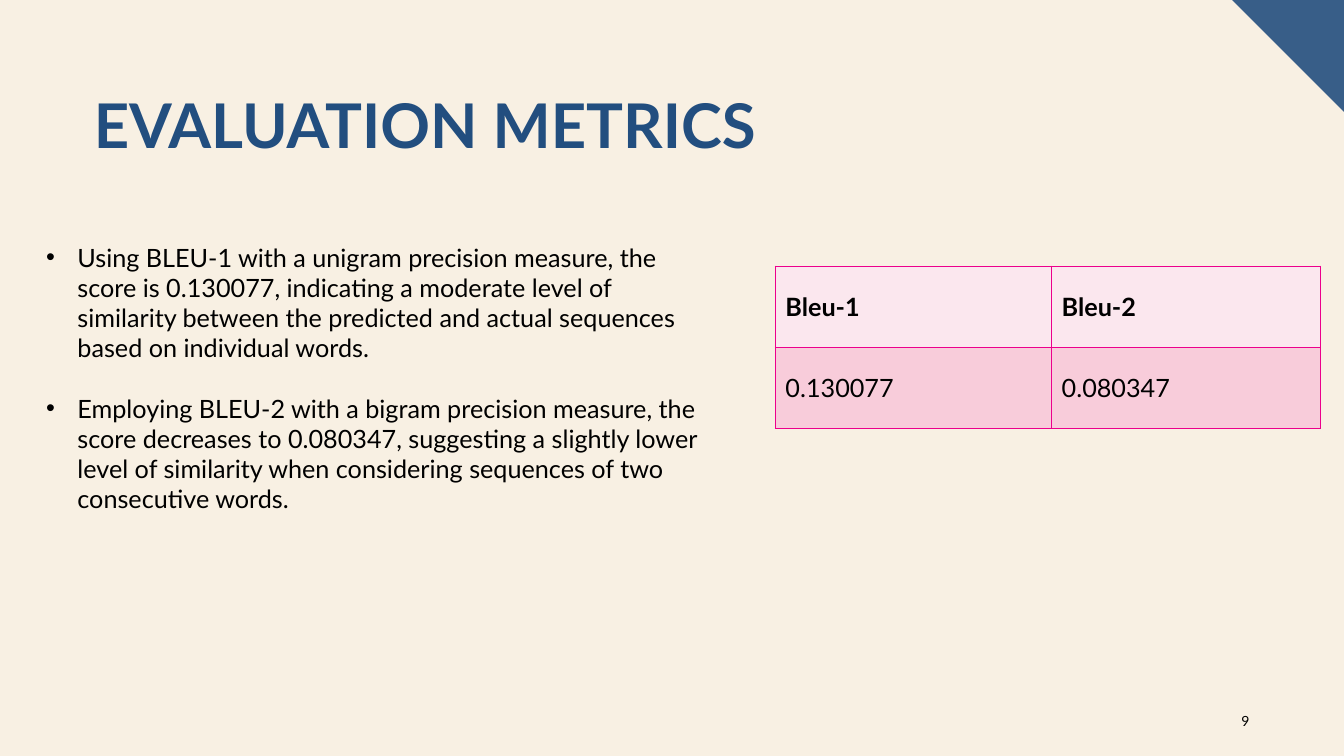
import pptx
import pptx.util
import pptx.dml.color
import pptx.enum.text
import pptx.oxml.ns
import lxml.etree
from dataclasses import dataclass

TITLE = "EVALUATION METRICS"
POINTS = [
    "Using BLEU-1 with a unigram precision measure, the score is 0.130077, indicating a moderate level of similarity between the predicted and actual sequences based on individual words.",
    "Employing BLEU-2 with a bigram precision measure, the score decreases to 0.080347, suggesting a slightly lower level of similarity when considering sequences of two consecutive words.",
]
SCORES = [("Bleu-1", "Bleu-2"), ("0.130077", "0.080347")]
WIDTHS = (2.74, 2.67)
NUMBER = "9"


@dataclass
class Theme:
    font: str = "Lato"
    back: str = "F8F0E3"
    blue: str = "385E88"
    head: str = "224E7F"
    ink: str = "000000"
    edge: str = "EC008C"
    rows: tuple = ("FBE7EE", "F8CCDA")
    large: int = 44
    body: int = 18
    small: int = 10


theme = Theme()
Inches = pptx.util.Inches
Pt = pptx.util.Pt
Align = pptx.enum.text.PP_ALIGN
Anchor = pptx.enum.text.MSO_ANCHOR
qn = pptx.oxml.ns.qn


def color(code):
    return pptx.dml.color.RGBColor.from_string(code)


def paint(fill, code):
    fill.solid()
    fill.fore_color.rgb = color(code)


def write(para, text, size=theme.body, ink=theme.ink, bold=False, align=Align.LEFT, line=1.0):
    para.alignment = align
    para.line_spacing = line
    run = para.add_run()
    run.text = text
    run.font.name = theme.font
    run.font.size = Pt(size)
    run.font.bold = bold
    run.font.color.rgb = color(ink)


def bullet(para):
    props = para._p.get_or_add_pPr()
    props.set("marL", str(Inches(0.31)))
    props.set("indent", str(Inches(-0.31)))
    lxml.etree.SubElement(props, qn("a:buFont"), typeface="Arial")
    lxml.etree.SubElement(props, qn("a:buChar"), char="•")


def border(cell):
    props = cell._tc.get_or_add_tcPr()
    for spot, side in enumerate(("lnL", "lnR", "lnT", "lnB")):
        edge = lxml.etree.Element(qn("a:" + side), w=str(Pt(1)))
        fill = lxml.etree.SubElement(edge, qn("a:solidFill"))
        lxml.etree.SubElement(fill, qn("a:srgbClr"), val=theme.edge)
        props.insert(spot, edge)


def textbox(slide, *box):
    frame = slide.shapes.add_textbox(*map(Inches, box)).text_frame
    frame.word_wrap = True
    return frame


def corner(slide, wide, size):
    build = slide.shapes.build_freeform(Inches(wide - size), 0)
    build.add_line_segments([(Inches(wide), 0), (Inches(wide), Inches(size))])
    shape = build.convert_to_shape()
    shape.shadow.inherit = False
    paint(shape.fill, theme.blue)
    shape.line.fill.background()


def heading(slide):
    title = slide.shapes.title
    title.left, title.top, title.width, title.height = map(Inches, (0.83, 0.9, 11.66, 1.45))
    frame = title.text_frame
    frame.auto_size = pptx.enum.text.MSO_AUTO_SIZE.NONE
    frame.vertical_anchor = Anchor.TOP
    write(frame.paragraphs[0], TITLE, size=theme.large, ink=theme.head, bold=True, line=0.9)


def scores(slide):
    box = map(Inches, (7.69, 2.64, sum(WIDTHS), 1.61))
    table = slide.shapes.add_table(len(SCORES), len(WIDTHS), *box).table
    table.first_row = table.horz_banding = False
    for col, width in zip(table.columns, WIDTHS):
        col.width = Inches(width)
    for r, row in enumerate(SCORES):
        for c, text in enumerate(row):
            cell = table.cell(r, c)
            cell.vertical_anchor = Anchor.MIDDLE
            paint(cell.fill, theme.rows[r])
            border(cell)
            write(cell.text_frame.paragraphs[0], text, bold=r == 0)


def points(slide):
    frame = textbox(slide, 0.36, 2.35, 6.79, 2.83)
    for i, text in enumerate(POINTS):
        para = frame.add_paragraph() if i else frame.paragraphs[0]
        write(para, text)
        para.space_before = Pt(21.6 if i else 0)
        bullet(para)


def main():
    deck = pptx.Presentation()
    deck.slide_width, deck.slide_height = Inches(13.33), Inches(7.5)
    slide = deck.slides.add_slide(deck.slide_layouts[5])
    paint(slide.background.fill, theme.back)
    corner(slide, 13.33, 1.11)
    heading(slide)
    scores(slide)
    frame = textbox(slide, 11.99, 6.95, 0.5, 0.4)
    frame.vertical_anchor = Anchor.MIDDLE
    write(frame.paragraphs[0], NUMBER, size=theme.small, align=Align.RIGHT)
    points(slide)
    deck.save("out.pptx")


if __name__ == "__main__":
    main()
